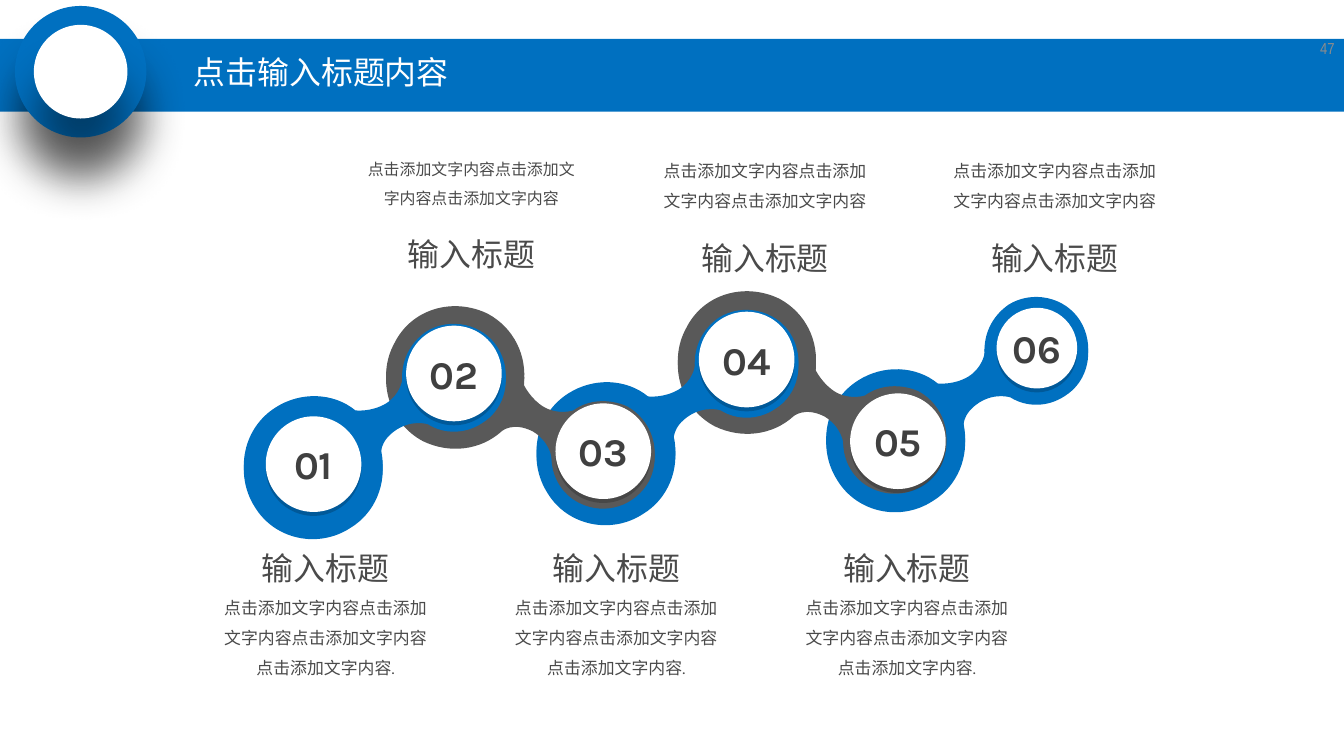
from dataclasses import dataclass

from lxml.etree import SubElement
from pptx import Presentation
from pptx.dml.color import RGBColor as Rgb
from pptx.enum.shapes import MSO_SHAPE as Kind
from pptx.enum.text import MSO_ANCHOR as Anchor, PP_ALIGN as Align
from pptx.oxml.ns import qn
from pptx.util import Pt

PX = 9525


@dataclass(frozen=True)
class Theme:
    blue: str = "0070C0"
    gray: str = "595959"
    white: str = "FFFFFF"
    black: str = "000000"
    digit: str = "404040"
    text: str = "4A4A4A"
    page: str = "8C8C8C"
    body: str = "Karla"
    head: str = "Arial Narrow"
    big: float = 24
    mid: float = 12.7
    small: float = 12
    count: float = 29.6


LOOK = Theme()

RISE = [
    (0, 0), (-2, 14), (-16, 23),
    (-31, 32), (-47, 30), (-47, 30),
    (-69, 12), (-102, 11), (-127, 27),
    (-159, 47), (-169, 90), (-148, 123),
    (-128, 156), (-84, 165), (-52, 144),
    (-27, 129), (-15, 99), (-21, 71),
    (-21, 71), (-24, 57), (-5, 45),
    (11, 35), (26, 40), (26, 40),
    (42, 50), (63, 50), (80, 39),
    (105, 24), (111, -9), (96, -33),
    (81, -57), (48, -64), (24, -49),
    (7, -37), (-1, -19), (0, 0),
]
FALL = [
    (0, 0), (-14, 5), (-29, -3),
    (-43, -11), (-50, -26), (-50, -26),
    (-46, -55), (-60, -83), (-86, -97),
    (-121, -114), (-163, -102), (-180, -67),
    (-198, -34), (-185, 9), (-151, 27),
    (-124, 40), (-93, 36), (-72, 17),
    (-72, 17), (-61, 7), (-41, 17),
    (-24, 27), (-22, 43), (-22, 43),
    (-22, 62), (-12, 80), (6, 89),
    (32, 102), (62, 92), (76, 67),
    (89, 41), (79, 10), (54, -4),
    (36, -12), (15, -11), (0, 0),
]
LINKS = [
    (989, 355, RISE, LOOK.blue),
    (869, 397, FALL, LOOK.gray),
    (698, 368, RISE, LOOK.blue),
    (576, 412, FALL, LOOK.gray),
    (404, 382, RISE, LOOK.blue),
]
DISCS = [(267, 418, 96), (408, 327, 96), (558, 405, 96),
         (702, 313, 96), (854, 395, 96), (1001, 309, 81)]
LIFT = 4
HEAD = "输入标题"
BODY = "点击添加文字内容" * 3
UPPER = [(356, LOOK.small), (651, LOOK.mid), (942, LOOK.mid)]


def emu(*nums):
    return [num * PX for num in nums]


def paint(shape, color):
    shape.shadow.inherit = False
    shape.fill.solid()
    shape.fill.fore_color.rgb = Rgb.from_string(color)
    shape.line.fill.background()
    return shape


def fade(shape, share):
    tint = shape.fill._xPr.find(qn("a:solidFill"))[0]
    SubElement(tint, qn("a:alpha"), val=str(share * 1000))


def shade(shape):
    effects = shape._element.spPr.find(qn("a:effectLst"))
    size = str(Pt(33))
    drop = SubElement(effects, qn("a:outerShdw"), blurRad=size, dist=size,
                      dir="5400000", algn="t", rotWithShape="0")
    tint = SubElement(drop, qn("a:srgbClr"), val=LOOK.black)
    SubElement(tint, qn("a:alpha"), val="43000")


def add_disc(slide, left, top, size, color):
    disc = slide.shapes.add_shape(Kind.OVAL, *emu(left, top, size, size))
    return paint(disc, color)


def bend(shape):
    track = next(shape._element.iter(qn("a:path")))
    lines = track.findall(qn("a:lnTo"))
    close = track.find(qn("a:close"))
    for i in range(0, len(lines), 3):
        curve = SubElement(track, qn("a:cubicBezTo"))
        for line in lines[i:i + 3]:
            curve.append(line[0])
            track.remove(line)
    track.append(close)


def add_link(slide, left, top, knots, color):
    for y in (top + LIFT, top):
        pen = slide.shapes.build_freeform(left, y, scale=PX)
        pen.add_line_segments([(left + dx, y + dy) for dx, dy in knots])
        shape = pen.convert_to_shape()
        bend(shape)
        paint(shape, color)


def write(par, text, size, color, font, align, bold=False):
    par.text = text
    par.alignment = align
    par.font.size = Pt(size)
    par.font.name = font
    par.font.bold = bold
    par.font.color.rgb = Rgb.from_string(color)


def add_count(slide, num, left, top, size):
    fade(add_disc(slide, left, top + LIFT, size, LOOK.black), 20)
    frame = add_disc(slide, left, top, size, LOOK.white).text_frame
    frame.word_wrap = False
    frame.vertical_anchor = Anchor.MIDDLE
    write(frame.paragraphs[0], f"{num:02}", LOOK.count, LOOK.digit,
          LOOK.body, Align.CENTER, True)


def add_note(slide, area, lines, gap=0):
    frame = slide.shapes.add_textbox(*emu(*area)).text_frame
    frame.word_wrap = True
    for row, (text, size) in enumerate(lines):
        par = frame.add_paragraph() if row else frame.paragraphs[0]
        write(par, text, size, LOOK.text, LOOK.body, Align.CENTER)
        par.line_spacing = 1.5
        par.space_before = Pt(gap if row else 0)


def add_head(slide):
    bar = slide.shapes.add_shape(Kind.RECTANGLE, *emu(0, 39, 1350, 73))
    paint(bar, LOOK.blue)
    shade(add_disc(slide, 15, 6, 132, LOOK.blue))
    shade(add_disc(slide, 34, 25, 94, LOOK.white))
    title = slide.shapes.title
    slide.shapes._spTree.append(title._element)
    title.left, title.top, title.width, title.height = emu(185, 48, 333, 53)
    title.text_frame.vertical_anchor = Anchor.MIDDLE
    par = title.text_frame.paragraphs[0]
    write(par, "点击输入标题内容", LOOK.big, LOOK.white, LOOK.head, Align.LEFT)
    par.line_spacing = 0.9


def add_page(slide):
    frame = slide.shapes.add_textbox(*emu(1284, 28, 66, 40)).text_frame
    frame.word_wrap = True
    frame.vertical_anchor = Anchor.MIDDLE
    write(frame.paragraphs[0], "47", LOOK.small, LOOK.page, LOOK.head, Align.RIGHT)


def main():
    deck = Presentation()
    deck.slide_width, deck.slide_height = emu(1350, 759)
    slide = deck.slides.add_slide(deck.slide_layouts[5])
    add_head(slide)
    for link in LINKS:
        add_link(slide, *link)
    for num, disc in enumerate(DISCS, 1):
        add_count(slide, num, *disc)
    for col in range(3):
        add_note(slide, (214 + 292 * col, 527, 226, 190),
                 [(HEAD, LOOK.big), (BODY + " 点击添加文字内容.", LOOK.mid)])
    for left, size in UPPER:
        add_note(slide, (left, 146, 235, 175),
                 [(BODY, size), (HEAD, LOOK.big)], 6.3)
    add_page(slide)
    deck.save("out.pptx")


if __name__ == "__main__":
    main()
